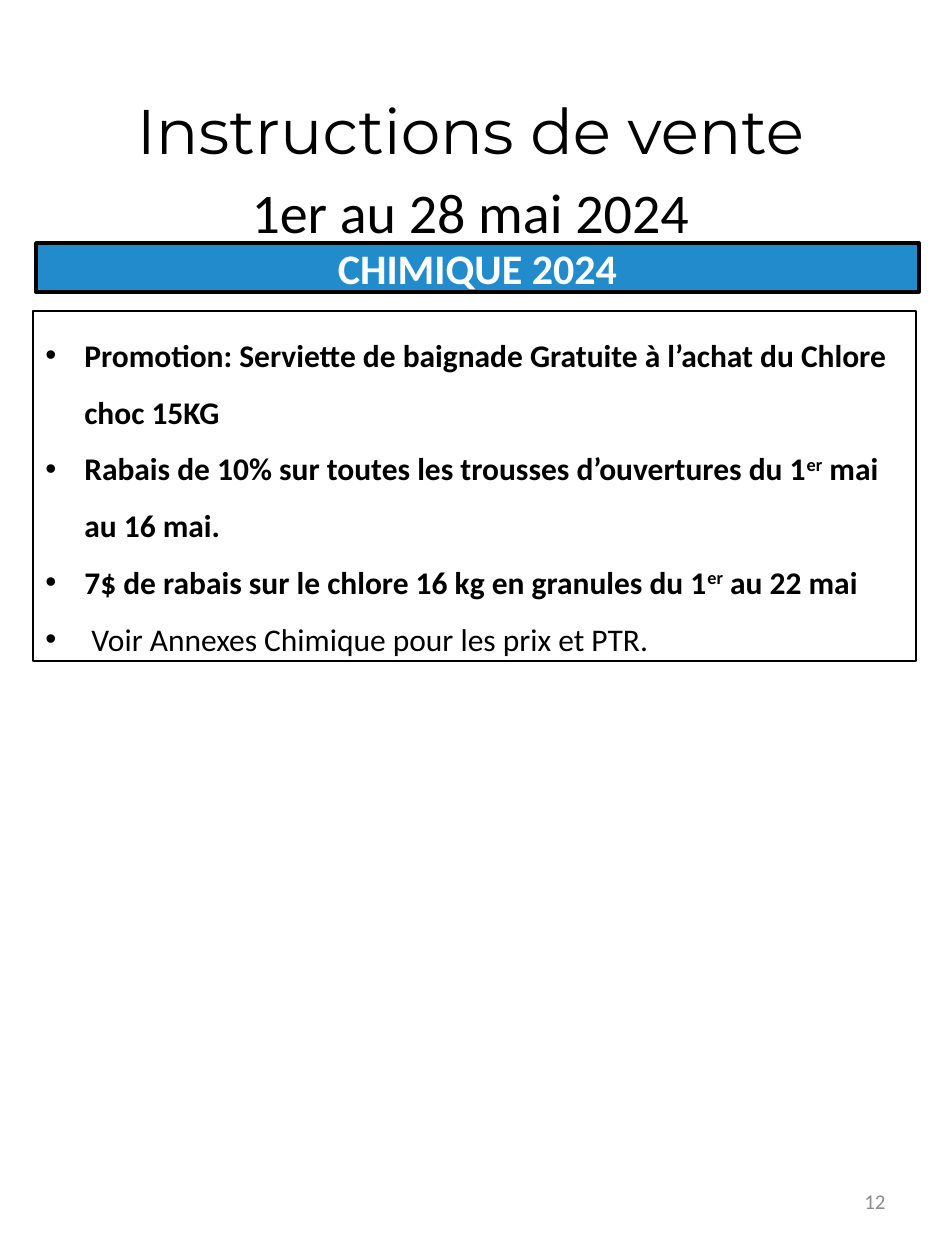
from dataclasses import dataclass

from lxml import etree
from pptx import Presentation
from pptx import util as u
from pptx.dml.color import RGBColor
from pptx.enum import shapes, text
from pptx.oxml.ns import qn

PX = u.Inches(1) // 126


@dataclass(frozen=True)
class Theme:
    black: str = "000000"
    white: str = "FFFFFF"
    blue: str = "218BCB"
    gray: str = "8C8C8C"
    body_font: str = "Calibri"
    title_font: str = "Montserrat"
    title: int = 36
    dates: int = 32
    banner: int = 24
    body: int = 18
    number: int = 12


THEME = Theme()
TITLE_LINE = "Instructions de vente\v"
DATES_LINE = "1er au 28 mai 2024"
# Each instruction is a list of (text, run format) pairs.
BOLD = {"bold": True}
RAISED = {"bold": True, "baseline": 30}
INSTRUCTIONS = [
    [("Promotion: Serviette de baignade Gratuite à l’achat du Chlore choc 15KG", BOLD)],
    [("Rabais de 10% sur toutes les trousses d’ouvertures du 1", BOLD),
     ("er", RAISED), (" mai au 16 mai.", BOLD)],
    [("7$ de rabais sur le chlore 16 kg en granules du 1", BOLD),
     ("er", RAISED), (" au 22 mai", BOLD)],
    [(" Voir Annexes Chimique pour les prix et PTR.", {})],
]


def place(shape, left, top, width, height):
    shape.left, shape.top = left * PX, top * PX
    shape.width, shape.height = width * PX, height * PX


def add_text(paragraph, words, *, size=THEME.body, font=THEME.body_font,
             color=THEME.black, bold=False, baseline=0):
    """Append words to the paragraph; a vertical tab becomes a line break."""
    for index, line in enumerate(words.split("\v")):
        if index:
            paragraph.add_line_break()
        if not line:
            continue
        run = paragraph.add_run()
        run.text = line
        run.font.size = u.Pt(size)
        run.font.name = font
        run.font.bold = bold
        run.font.color.rgb = RGBColor.from_string(color)
        if baseline:
            run.font._element.set("baseline", str(baseline * 1000))


def add_bullet(paragraph, indent):
    properties = paragraph._p.get_or_add_pPr()
    properties.set("marL", str(indent * PX))
    properties.set("indent", str(-indent * PX))
    etree.SubElement(properties, qn("a:buFont")).set("typeface", "Arial")
    etree.SubElement(properties, qn("a:buChar")).set("char", "•")


def add_box(slide, bounds, line_width, fill=None):
    box = slide.shapes.add_shape(
        shapes.MSO_SHAPE.RECTANGLE, *(value * PX for value in bounds))
    box.shadow.inherit = False
    if fill:
        box.fill.solid()
        box.fill.fore_color.rgb = RGBColor.from_string(fill)
    else:
        box.fill.background()
    box.line.color.rgb = RGBColor.from_string(THEME.black)
    box.line.width = u.Pt(line_width)
    box.text_frame.word_wrap = True
    return box


def set_title(slide):
    title = slide.shapes.title
    place(title, 45, 74, 851, 149)
    frame = title.text_frame
    frame.word_wrap = True
    frame.auto_size = text.MSO_AUTO_SIZE.NONE
    frame.vertical_anchor = text.MSO_ANCHOR.TOP
    paragraph = frame.paragraphs[0]
    paragraph.alignment = text.PP_ALIGN.CENTER
    paragraph.line_spacing = 1.15
    paragraph.space_after = u.Pt(10)
    add_text(paragraph, TITLE_LINE, size=THEME.title, font=THEME.title_font)
    add_text(paragraph, DATES_LINE, size=THEME.dates)


def add_banner(slide):
    banner = add_box(slide, (36, 243, 883, 49), 2, THEME.blue)
    banner.text_frame.vertical_anchor = text.MSO_ANCHOR.MIDDLE
    paragraph = banner.text_frame.paragraphs[0]
    paragraph.alignment = text.PP_ALIGN.CENTER
    add_text(paragraph, "CHIMIQUE 2024", size=THEME.banner,
             color=THEME.white, bold=True)


def add_instructions(slide):
    frame = add_box(slide, (33, 311, 883, 350), 0.75).text_frame
    frame.vertical_anchor = text.MSO_ANCHOR.TOP
    for index, parts in enumerate(INSTRUCTIONS):
        paragraph = frame.add_paragraph() if index else frame.paragraphs[0]
        paragraph.alignment = text.PP_ALIGN.LEFT
        paragraph.line_spacing = 1.5
        add_bullet(paragraph, 39)
        for words, style in parts:
            add_text(paragraph, words, **style)


def add_page_number(slide):
    bounds = (678, 1168, 220, 67)
    frame = slide.shapes.add_textbox(*(value * PX for value in bounds)).text_frame
    frame.word_wrap = True
    frame.vertical_anchor = text.MSO_ANCHOR.MIDDLE
    paragraph = frame.paragraphs[0]
    paragraph.alignment = text.PP_ALIGN.RIGHT
    add_text(paragraph, "12", size=THEME.number, color=THEME.gray)


def main():
    presentation = Presentation()
    presentation.slide_width = 945 * PX
    presentation.slide_height = 1260 * PX
    slide = presentation.slides.add_slide(presentation.slide_layouts[5])
    set_title(slide)
    add_banner(slide)
    add_instructions(slide)
    add_page_number(slide)
    presentation.save("out.pptx")


if __name__ == "__main__":
    main()
